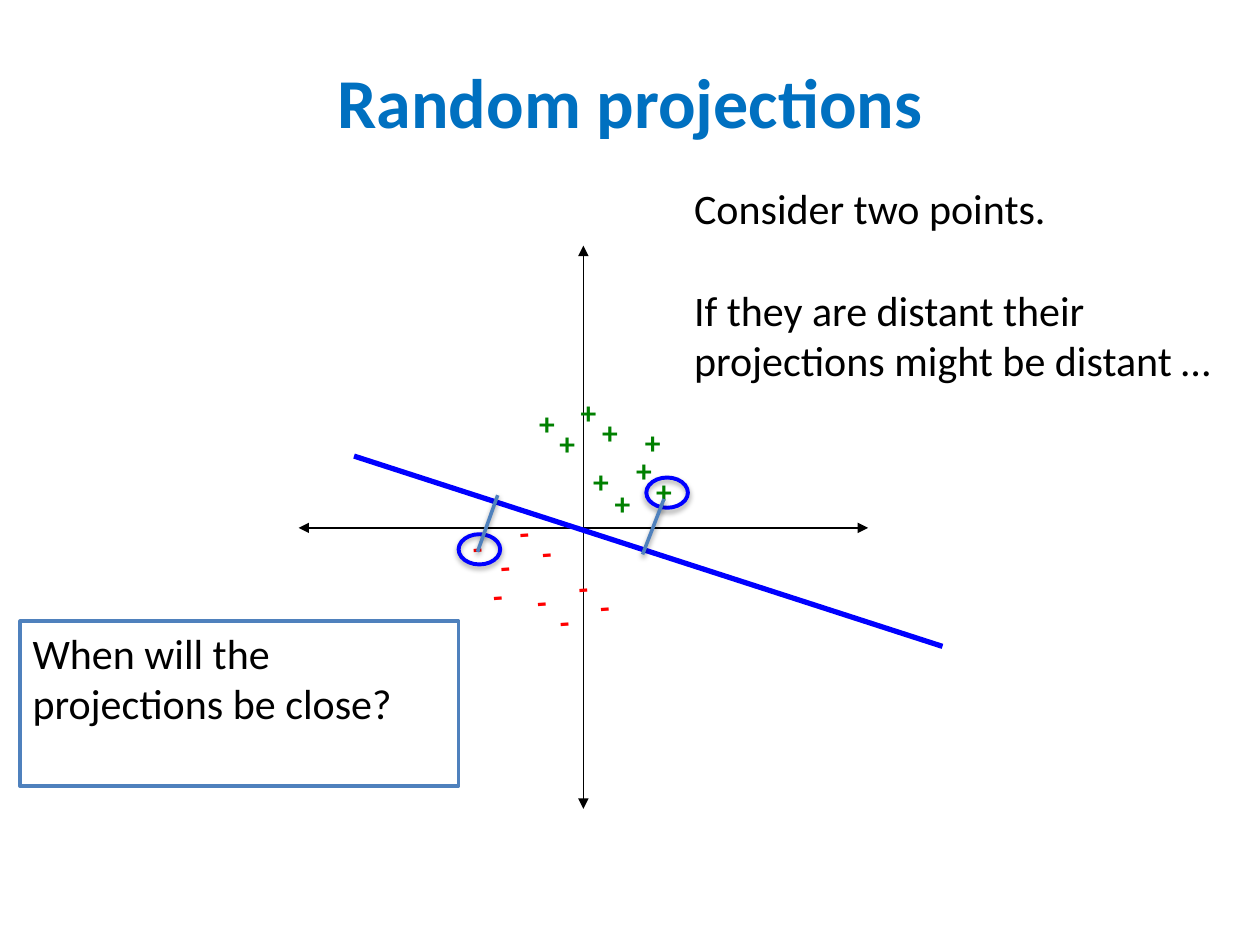
from dataclasses import dataclass

from lxml import etree
from pptx import Presentation
from pptx.dml.color import RGBColor
from pptx.enum import shapes, text
from pptx.oxml import ns
from pptx.util import Inches, Pt


@dataclass(frozen=True)
class Theme:
    font: str = "Calibri"
    title: str = "0070C0"
    ink: str = "000000"
    paper: str = "FFFFFF"
    positive: str = "008000"
    negative: str = "FF0000"
    plane: str = "0000FF"
    accent: str = "4F81BD"
    title_size: float = 40
    body_size: float = 24
    mark_size: float = 18


THEME = Theme()
PLUSES = [(4.18, 3.16), (4.34, 3.32), (4.51, 3.07), (4.68, 3.23), (4.61, 3.62),
          (4.78, 3.79), (4.95, 3.53), (5.11, 3.7), (5.02, 3.31)]
MINUSES = [(4.65, 4.67), (4.48, 4.52), (4.33, 4.79), (4.15, 4.63), (4.19, 4.24),
           (4.01, 4.08), (3.86, 4.35), (3.64, 4.2), (3.8, 4.58)]
AXES = [(2.37, 4.19, 6.89, 4.19), (4.63, 1.95, 4.63, 6.42)]
CHOSEN_POINTS = [(5.13, 3.79), (3.64, 4.24)]
PROJECTIONS = [(5.27, 3.96, 5.1, 4.4), (3.95, 3.93, 3.79, 4.38)]


def rgb(color):
    return RGBColor.from_string(color)


def set_line(sp, color, width):
    sp.line.color.rgb = rgb(color)
    sp.line.width = Pt(width)


def add_effects(sp, opacity=None, distance=0):
    effects = etree.SubElement(sp._element.spPr, ns.qn("a:effectLst"))
    if opacity is None:
        return
    shadow = etree.SubElement(effects, ns.qn("a:outerShdw"), blurRad=str(Pt(3.1)),
                              dist=str(Pt(distance)), dir="5400000", rotWithShape="0")
    color = etree.SubElement(shadow, ns.qn("a:srgbClr"), val=THEME.ink)
    etree.SubElement(color, ns.qn("a:alpha"), val=str(opacity * 1000))


def write(tf, lines, size, color, bold=False, align=text.PP_ALIGN.LEFT, gap=0):
    for i, line in enumerate(lines):
        p = tf.add_paragraph() if i else tf.paragraphs[0]
        p.alignment = align
        if i:
            p.space_before = Pt(gap)
        r = p.add_run()
        r.text = line
        r.font.name = THEME.font
        r.font.size = Pt(size)
        r.font.bold = bold
        r.font.color.rgb = rgb(color)


def add_text(s, box, lines, size, color, wrap=True, anchor=text.MSO_ANCHOR.TOP, **style):
    sp = s.shapes.add_textbox(*map(Inches, box))
    tf = sp.text_frame
    tf.word_wrap = wrap
    tf.vertical_anchor = anchor
    write(tf, lines, size, color, **style)
    return sp


def add_marks(s, sign, places, width, color, rotation=0):
    for left, top in places:
        sp = add_text(s, (left, top, width, 0.4), [sign], THEME.mark_size, color,
                      wrap=False, bold=True)
        sp.text_frame.auto_size = text.MSO_AUTO_SIZE.SHAPE_TO_FIT_TEXT
        sp.rotation = rotation


def add_line(s, ends, color, width, arrows=False, **shadow):
    sp = s.shapes.add_connector(shapes.MSO_CONNECTOR.STRAIGHT, *map(Inches, ends))
    set_line(sp, color, width)
    if arrows:
        ln = sp._element.spPr.find(ns.qn("a:ln"))
        for end in ("a:headEnd", "a:tailEnd"):
            etree.SubElement(ln, ns.qn(end), type="triangle")
    add_effects(sp, **shadow)


def add_ring(s, left, top):
    sp = s.shapes.add_shape(shapes.MSO_SHAPE.OVAL, *map(Inches, (left, top, 0.33, 0.24)))
    sp.fill.background()
    set_line(sp, THEME.plane, 2.25)
    add_effects(sp, opacity=35, distance=1.8)


def add_question(s, box, question):
    sp = s.shapes.add_shape(shapes.MSO_SHAPE.RECTANGLE, *map(Inches, box))
    sp.shadow.inherit = False
    sp.fill.solid()
    sp.fill.fore_color.rgb = rgb(THEME.paper)
    set_line(sp, THEME.accent, 2)
    sp.text_frame.word_wrap = True
    sp.text_frame.vertical_anchor = text.MSO_ANCHOR.TOP
    write(sp.text_frame, [question], THEME.body_size, THEME.ink)


def main():
    prs = Presentation()
    prs.slide_width, prs.slide_height = Inches(10), Inches(7.5)
    s = prs.slides.add_slide(prs.slide_layouts[6])

    add_text(s, (0.5, 0.3, 9, 0.99), ["Random projections"], THEME.title_size, THEME.title,
             anchor=text.MSO_ANCHOR.MIDDLE, bold=True, align=text.PP_ALIGN.CENTER)
    for axis in AXES:
        add_line(s, axis, THEME.ink, 0.75, arrows=True)
    add_line(s, (2.81, 3.62, 7.48, 5.13), THEME.plane, 3)
    add_marks(s, "+", PLUSES, 0.35, THEME.positive)
    add_marks(s, "-", MINUSES, 0.29, THEME.negative, rotation=176.1)
    for left, top in CHOSEN_POINTS:
        add_ring(s, left, top)
    add_text(s, (5.41, 1.4, 4.59, 1.72),
             ["Consider two points.", "If they are distant their projections might be distant …"],
             THEME.body_size, THEME.ink, gap=29.3)
    for ends in PROJECTIONS:
        add_line(s, ends, THEME.accent, 2, opacity=38, distance=1.6)
    add_question(s, (0.16, 4.93, 3.48, 1.31), "When will the projections be close?")

    prs.save("out.pptx")


if __name__ == "__main__":
    main()
